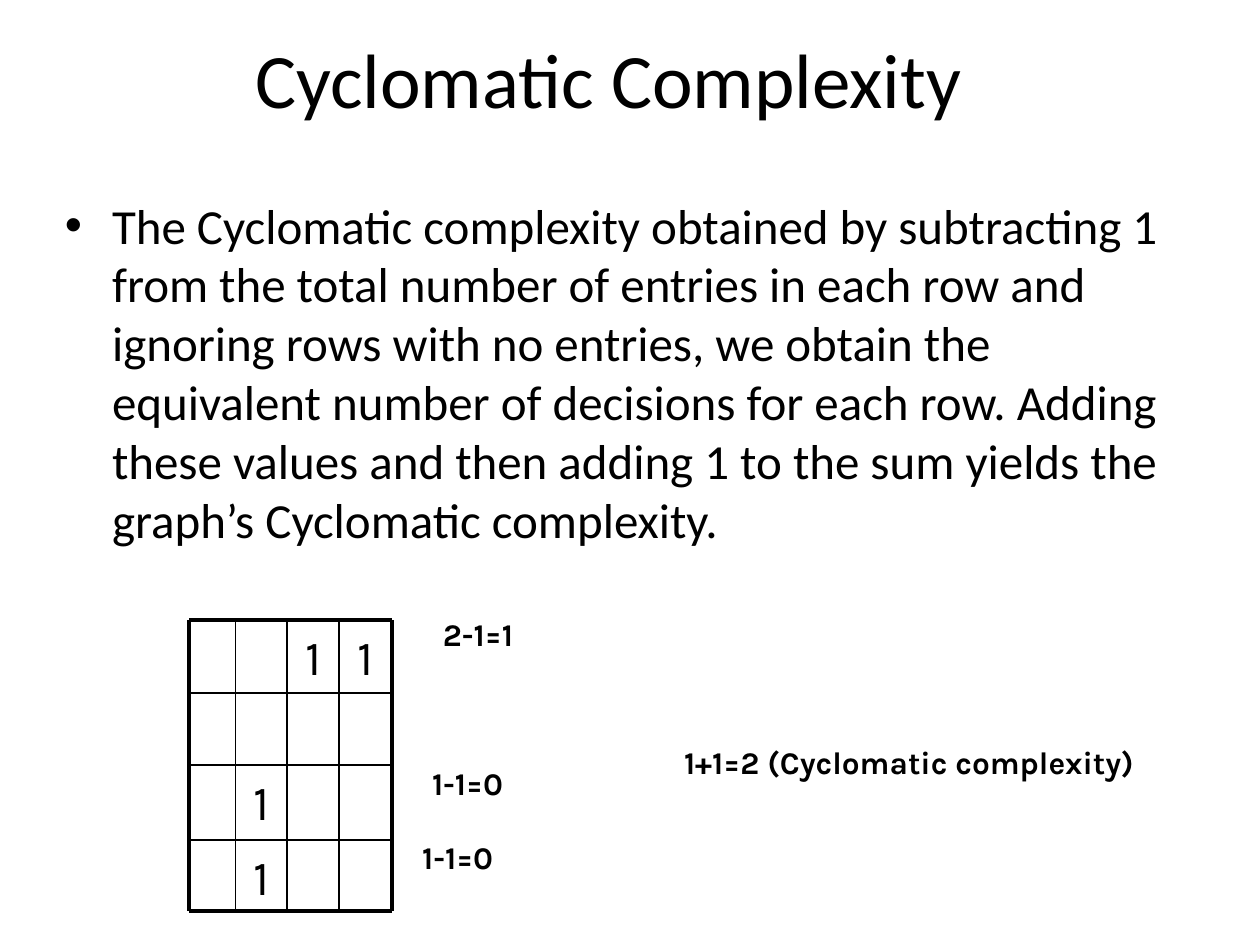
import pptx
import pptx.util
import pptx.dml.color
import pptx.enum.shapes
import pptx.enum.text
import pptx.oxml
import pptx.oxml.ns

Cm, Pt = pptx.util.Cm, pptx.util.Pt
ALIGN, ANCHOR = pptx.enum.text.PP_ALIGN, pptx.enum.text.MSO_ANCHOR
STRAIGHT = pptx.enum.shapes.MSO_CONNECTOR.STRAIGHT
COLORS = {"text": "000000", "line": "000000"}
NS = pptx.oxml.ns.nsdecls("a")


def add_text(s, box, text, size, font, bold=False, align=ALIGN.LEFT, anchor=ANCHOR.TOP, before=0):
    """Place a wrapped text box and return its paragraph."""
    tf = s.shapes.add_textbox(*map(Cm, box)).text_frame
    tf.word_wrap, tf.vertical_anchor = True, anchor
    p = tf.paragraphs[0]
    p.alignment, p.space_before = align, Pt(before)
    r = p.add_run()
    r.text = text
    r.font.size, r.font.name, r.font.bold = Pt(size), font, bold
    r.font.color.rgb = pptx.dml.color.RGBColor.from_string(COLORS["text"])
    return p


def add_title(s, box, text):
    """Place the centred slide title."""
    add_text(s, box, text, 44, "Calibri", align=ALIGN.CENTER, anchor=ANCHOR.MIDDLE)


def add_body(s, box, text):
    """Place the bulleted explanation."""
    p = add_text(s, box, text, 28, "Calibri", before=7)
    pPr = p._p.get_or_add_pPr()
    pPr.set("marL", str(Cm(0.95)))
    pPr.set("indent", str(-Cm(0.95)))
    pPr.append(pptx.oxml.parse_xml(f'<a:buFont {NS} typeface="Arial"/>'))
    pPr.append(pptx.oxml.parse_xml(f'<a:buChar {NS} char="•"/>'))


def add_line(s, x1, y1, x2, y2, width):
    """Draw one straight line without a shadow."""
    line = s.shapes.add_connector(STRAIGHT, *map(Cm, (x1, y1, x2, y2)))
    line.line.width = Pt(width)
    line.line.color.rgb = pptx.dml.color.RGBColor.from_string(COLORS["line"])
    line._element.spPr.append(pptx.oxml.parse_xml(f"<a:effectLst {NS}/>"))


def add_matrix(s, box, entries, xs, ys):
    """Place the ruled connection matrix, with xs and ys measured from the box corner."""
    left, top, width, height = box
    for row, col in entries:
        cell = (left + xs[col], top + ys[row], xs[col + 1] - xs[col], ys[row + 1] - ys[row])
        add_text(s, cell, "1", 28, "Karla", align=ALIGN.CENTER, before=7)
    for y in ys:
        add_line(s, left, top + y, left + width, top + y, 2.25 if y in (0, height) else 1)
    for x in xs:
        add_line(s, left + x, top, left + x, top + height, 2.25 if x in (0, width) else 1)


def add_sums(s, box, sums):
    """Place the row sums and the total, offset from the corner of the box."""
    left, top = box[:2]
    for dx, dy, width, text in sums:
        add_text(s, (left + dx, top + dy, width, 1.02), text, 18, "Karla", bold=True, before=11.2)


prs = pptx.Presentation()
prs.slide_width, prs.slide_height = Cm(25.4), Cm(19.05)
s = prs.slides.add_slide(prs.slide_layouts[6])
add_title(s, (1.9, 0.18, 20.75, 2.79), "Cyclomatic Complexity")
add_body(s, (1.06, 3.81, 23.29, 10.85),
         "The Cyclomatic complexity obtained by subtracting 1 from the total number of "
         "entries in each row and ignoring rows with no entries, we obtain the equivalent "
         "number of decisions for each row. Adding these values and then adding 1 to the "
         "sum yields the graph’s Cyclomatic complexity.")
add_matrix(s, (3.81, 12.5, 4.09, 5.87), [(3, 1), (2, 1), (0, 3), (0, 2)],
           [0, 0.94, 1.98, 3.03, 4.09], [0, 1.47, 2.92, 4.44, 5.87])
add_sums(s, (8.26, 12.27, 16.08, 5.51),
         [(0.42, 0, 4.88, "2-1=1"), (0.2, 3.01, 4.88, "1-1=0"),
          (0, 4.49, 4.88, "1-1=0"), (5.28, 2.59, 10.8, "1+1=2 (Cyclomatic complexity)")])
prs.save("out.pptx")
